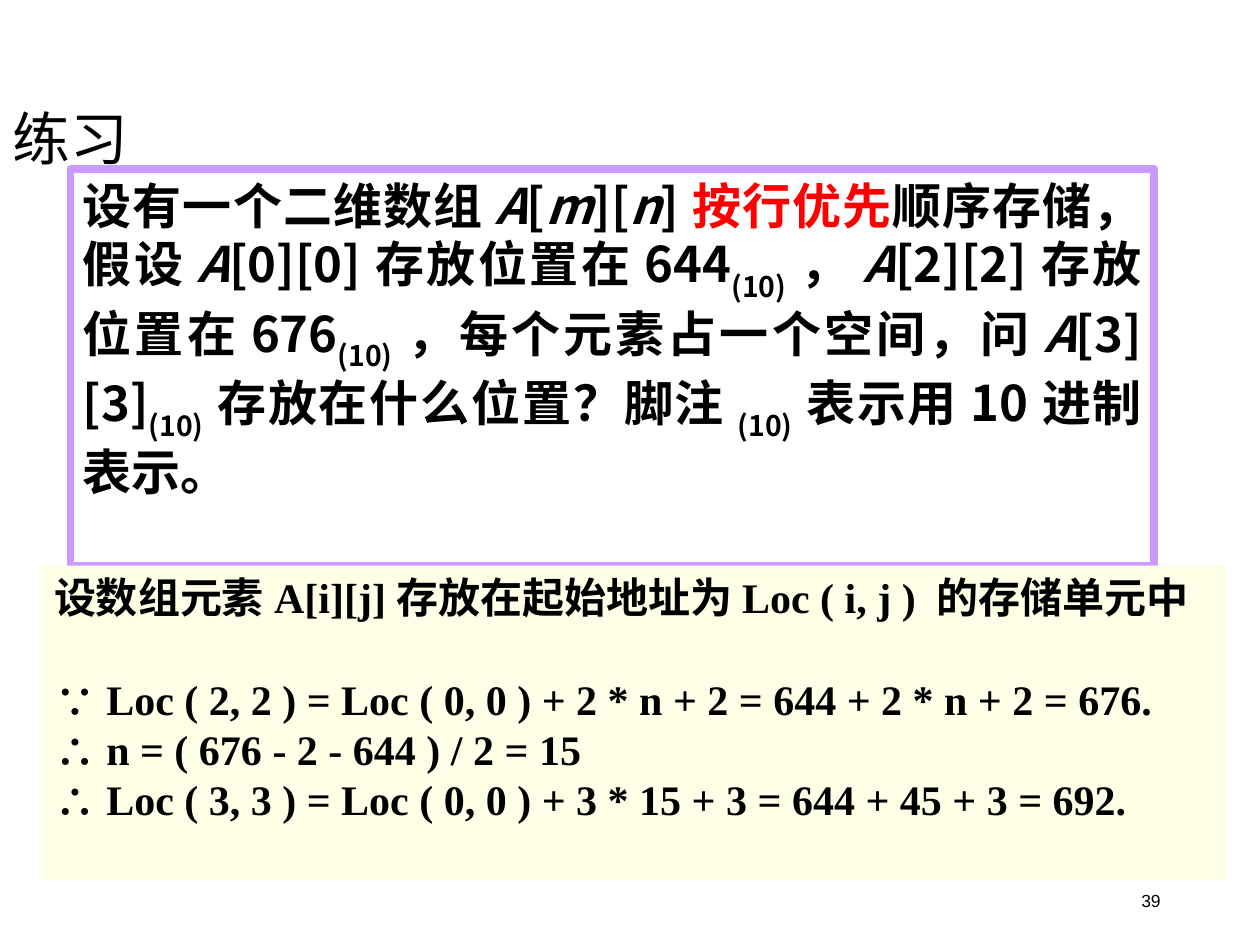
"""Build the exercise slide on row-major storage of a two-dimensional array."""
from lxml import etree
from pptx import Presentation
from pptx.dml.color import RGBColor
from pptx.enum.shapes import MSO_SHAPE
from pptx.enum.text import MSO_ANCHOR, PP_ALIGN
from pptx.oxml.ns import qn
from pptx.util import Pt

RECT = MSO_SHAPE.RECTANGLE
TOP, MIDDLE = MSO_ANCHOR.TOP, MSO_ANCHOR.MIDDLE
LEFT, RIGHT, JUSTIFY = PP_ALIGN.LEFT, PP_ALIGN.RIGHT, PP_ALIGN.JUSTIFY
SANS, SERIF = "Noto Sans CJK SC", "Times New Roman"
COLORS = {"text": "000000", "key": "FF0000", "frame": "CC99FF", "answer": "FFFFE7"}


def set_frame(sp, anchor):
    tf = sp.text_frame
    frame = {"word_wrap": True, "vertical_anchor": anchor, "margin_left": Pt(7.2),
             "margin_right": Pt(7.2), "margin_top": Pt(3.6), "margin_bottom": Pt(3.6)}
    for name, value in frame.items():
        setattr(tf, name, value)
    return tf


def add_run(p, text, size, font, bold=False, italic=False, color="text", sub=False):
    r = p.add_run()
    r.text = text
    for name, value in {"size": Pt(size), "name": font, "bold": bold, "italic": italic}.items():
        setattr(r.font, name, value)
    r.font.color.rgb = RGBColor.from_string(COLORS[color])
    rPr = r._r.get_or_add_rPr()
    etree.SubElement(rPr, qn("a:ea")).set("typeface", SANS)
    if sub:
        rPr.set("baseline", "-30000")


prs = Presentation()
prs.slide_width, prs.slide_height = Pt(720), Pt(540)
s = prs.slides.add_slide(prs.slide_layouts[6])

labels = [
    ("39", (508.3, 500.4, 162, 28.8), RIGHT, 1.0, 10, "Arial"),
    ("练习", (0, 28.8, 621.4, 104.4), LEFT, 0.9, 33, SANS),
]
for text, box, align, spacing, size, font in labels:
    sp = s.shapes.add_textbox(*map(Pt, box))
    p = set_frame(sp, MIDDLE).paragraphs[0]
    p.alignment, p.line_spacing = align, spacing
    add_run(p, text, size, font)

ITALIC, SUB = {"italic": True}, {"sub": True}
question = [
    ("设有一个二维数组", {}), ("A", ITALIC), ("[", {}), ("m", ITALIC), ("][", {}),
    ("n", ITALIC), ("]", {}), ("按行优先", {"font": SERIF, "color": "key"}),
    ("顺序存储", {"font": SERIF}), ("，假设", {}), ("A", ITALIC),
    ("[0][0]存放位置在644", {}), ("(10)", SUB), ("，", {}), ("A", ITALIC),
    ("[2][2]存放位置在676", {}), ("(10)", SUB), ("，每个元素占一个空间，问", {}),
    ("A", ITALIC), ("[3][3]", {}), ("(10)", SUB), ("存放在什么位置？脚注", {}),
    ("(10)", SUB), ("表示用10进制表示。", {}),
]
sp = s.shapes.add_shape(RECT, Pt(40.3), Pt(96.5), Pt(619.2), Pt(226.8))
sp.shadow.inherit = False
sp.fill.background()
sp.line.color.rgb = RGBColor.from_string(COLORS["frame"])
sp.line.width = Pt(4.5)
p = set_frame(sp, TOP).paragraphs[0]
p.alignment = JUSTIFY
for text, style in question:
    add_run(p, text, **{"size": 28, "font": SANS, "bold": True, **style})

answer = [
    ("设数组元素A[i][j]存放在起始地址为Loc ( i, j ) 的存储单元中", 0),
    ("∵ Loc ( 2, 2 ) = Loc ( 0, 0 ) + 2 * n + 2 = 644 + 2 * n + 2 = 676.", 29),
    ("∴ n = ( 676 - 2 - 644 ) / 2 = 15", 0),
    ("∴ Loc ( 3, 3 ) = Loc ( 0, 0 ) + 3 * 15 + 3 = 644 + 45 + 3 = 692.", 0),
]
sp = s.shapes.add_shape(RECT, Pt(23.8), Pt(323.3), Pt(676.8), Pt(180))
sp.shadow.inherit = False
sp.fill.solid()
sp.fill.fore_color.rgb = RGBColor.from_string(COLORS["answer"])
sp.line.fill.background()
tf = set_frame(sp, TOP)
for i, (text, gap) in enumerate(answer):
    p = tf.add_paragraph() if i else tf.paragraphs[0]
    p.alignment, p.space_before = JUSTIFY, Pt(gap)
    add_run(p, text, 24, SERIF, bold=True)

prs.save("out.pptx")
